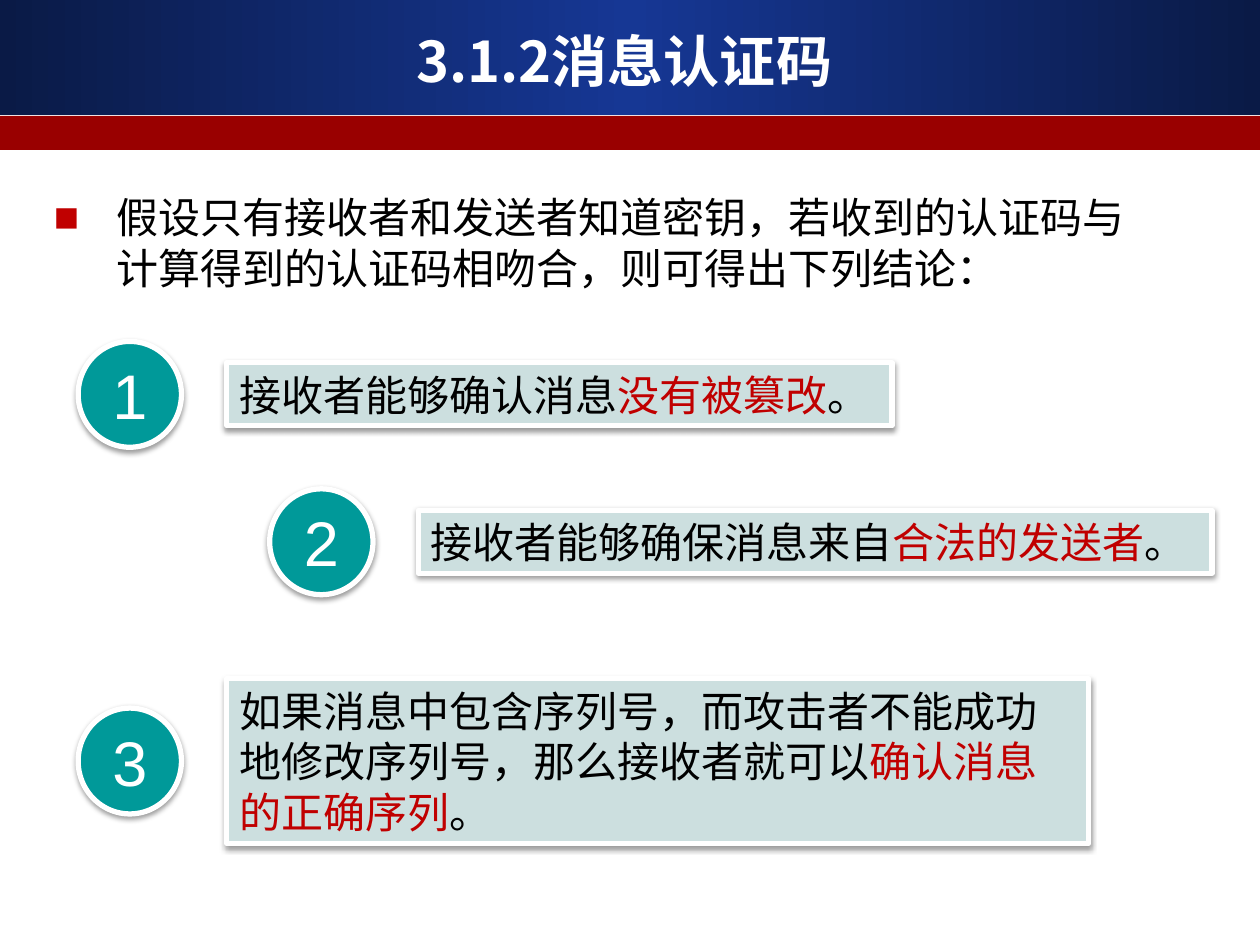
from lxml.etree import SubElement
from pptx import Presentation
from pptx.dml.color import RGBColor
from pptx.enum.shapes import MSO_SHAPE as SHAPE
from pptx.enum.text import MSO_ANCHOR as ANCHOR, PP_ALIGN as ALIGN
from pptx.oxml import parse_xml
from pptx.oxml.ns import nsdecls, qn
from pptx.util import Inches, Pt

COLORS = {
    "navy": "0A1A46", "blue": "163794", "band": "990000", "red": "C00000",
    "teal": "009999", "pale": "CCDFDF", "white": "FFFFFF", "black": "000000",
}
CJK = "Noto Sans CJK SC"
WIDTH, HEIGHT = 10, 7.5
BADGE_W, BADGE_H = 0.82, 0.84
BADGE_GAP = 1.18

CONCLUSIONS = [
    (0.62, 3.13, 5.28, 0.5,
     [("接收者能够确认消息", "black"), ("没有被篡改", "red"), ("。", "black")]),
    (2.14, 4.3, 6.3, 0.5,
     [("接收者能够确保消息来自", "black"), ("合法的发送者", "red"), ("。", "black")]),
    (0.62, 6.04, 6.84, 1.31,
     [("如果消息中包含序列号，而攻击者不能成功地修改序列号，那么接收者就可以", "black"),
      ("确认消息的正确序列", "red"), ("。", "black")]),
]


def rgb(name):
    return RGBColor.from_string(COLORS[name])


def add_runs(tf, runs, size, font=CJK, bold=False, align=ALIGN.LEFT):
    tf.word_wrap = True
    p = tf.paragraphs[0]
    p.alignment = align
    for text, color in runs:
        r = p.add_run()
        r.text = text
        r.font.size = Pt(size)
        r.font.name = font
        r.font.bold = bold
        r.font.color.rgb = rgb(color)
        SubElement(r.font._element, qn("a:ea"), typeface=font)
    return p


def add_text(s, box, runs, size, **style):
    sp = s.shapes.add_textbox(*map(Inches, box))
    return sp.text_frame, add_runs(sp.text_frame, runs, size, **style)


def add_block(s, kind, box, color):
    sp = s.shapes.add_shape(kind, *map(Inches, box))
    sp.shadow.inherit = False
    sp.fill.solid()
    sp.fill.fore_color.rgb = rgb(color)
    sp.line.fill.background()
    return sp


def add_raised(s, kind, box, color):
    sp = add_block(s, kind, box, color)
    sp.line.color.rgb = rgb("white")
    sp.line.width = Pt(3)
    effects = sp._element.spPr.find(qn("a:effectLst"))
    effects.append(parse_xml(
        f'<a:outerShdw {nsdecls("a")} blurRad="{Pt(3.1)}" dist="{Pt(1.6)}" '
        f'dir="5400000" rotWithShape="0"><a:srgbClr val="{COLORS["black"]}">'
        '<a:alpha val="38000"/></a:srgbClr></a:outerShdw>'))
    return sp


def add_header(s, title):
    sp = add_block(s, SHAPE.RECTANGLE, (0, 0, WIDTH, 0.91), "blue")
    stops = "".join(
        f'<a:gs pos="{pos}"><a:srgbClr val="{COLORS[c]}"/></a:gs>'
        for pos, c in [(0, "navy"), (50000, "blue"), (100000, "navy")])
    spPr = sp._element.spPr
    spPr.replace(spPr.find(qn("a:solidFill")), parse_xml(
        f'<a:gradFill {nsdecls("a")} rotWithShape="1"><a:gsLst>{stops}</a:gsLst>'
        '<a:lin ang="0" scaled="1"/></a:gradFill>'))
    add_block(s, SHAPE.RECTANGLE, (0, 0.92, WIDTH, 0.27), "band")
    tf, p = add_text(s, (0.33, 0.17, 9.25, 0.62), [(title, "white")], 32,
                     bold=True, align=ALIGN.CENTER)
    tf.vertical_anchor = ANCHOR.MIDDLE


def add_bullet(s, box, text):
    tf, p = add_text(s, box, [(text, "black")], 24)
    p.line_spacing = Pt(29)
    pPr = p._p.get_or_add_pPr()
    pPr.set("marL", str(Inches(0.5)))
    pPr.set("indent", str(-Inches(0.5)))
    SubElement(SubElement(pPr, qn("a:buClr")), qn("a:srgbClr"), val=COLORS["red"])
    SubElement(pPr, qn("a:buFont"), typeface="Arial")
    SubElement(pPr, qn("a:buChar"), char="■")


def add_conclusion(s, number, left, middle, width, height, runs):
    box = (left + BADGE_GAP, middle - height / 2, width, height)
    tf = add_raised(s, SHAPE.RECTANGLE, box, "pale").text_frame
    tf.vertical_anchor = ANCHOR.TOP
    add_runs(tf, runs, 24).line_spacing = Pt(29)
    badge = (left, middle - BADGE_H / 2, BADGE_W, BADGE_H)
    tf = add_raised(s, SHAPE.OVAL, badge, "teal").text_frame
    tf.vertical_anchor = ANCHOR.MIDDLE
    add_runs(tf, [(str(number), "white")], 36, font="Arial", align=ALIGN.CENTER)


def main():
    prs = Presentation()
    prs.slide_width, prs.slide_height = Inches(WIDTH), Inches(HEIGHT)
    s = prs.slides.add_slide(prs.slide_layouts[6])
    add_header(s, "3.1.2消息认证码")
    add_bullet(s, (0.33, 1.47, 8.74, 0.91),
               "假设只有接收者和发送者知道密钥，若收到的认证码与计算得到的认证码相吻合，则可得出下列结论：")
    for number, conclusion in enumerate(CONCLUSIONS, 1):
        add_conclusion(s, number, *conclusion)
    prs.save("out.pptx")


if __name__ == "__main__":
    main()
